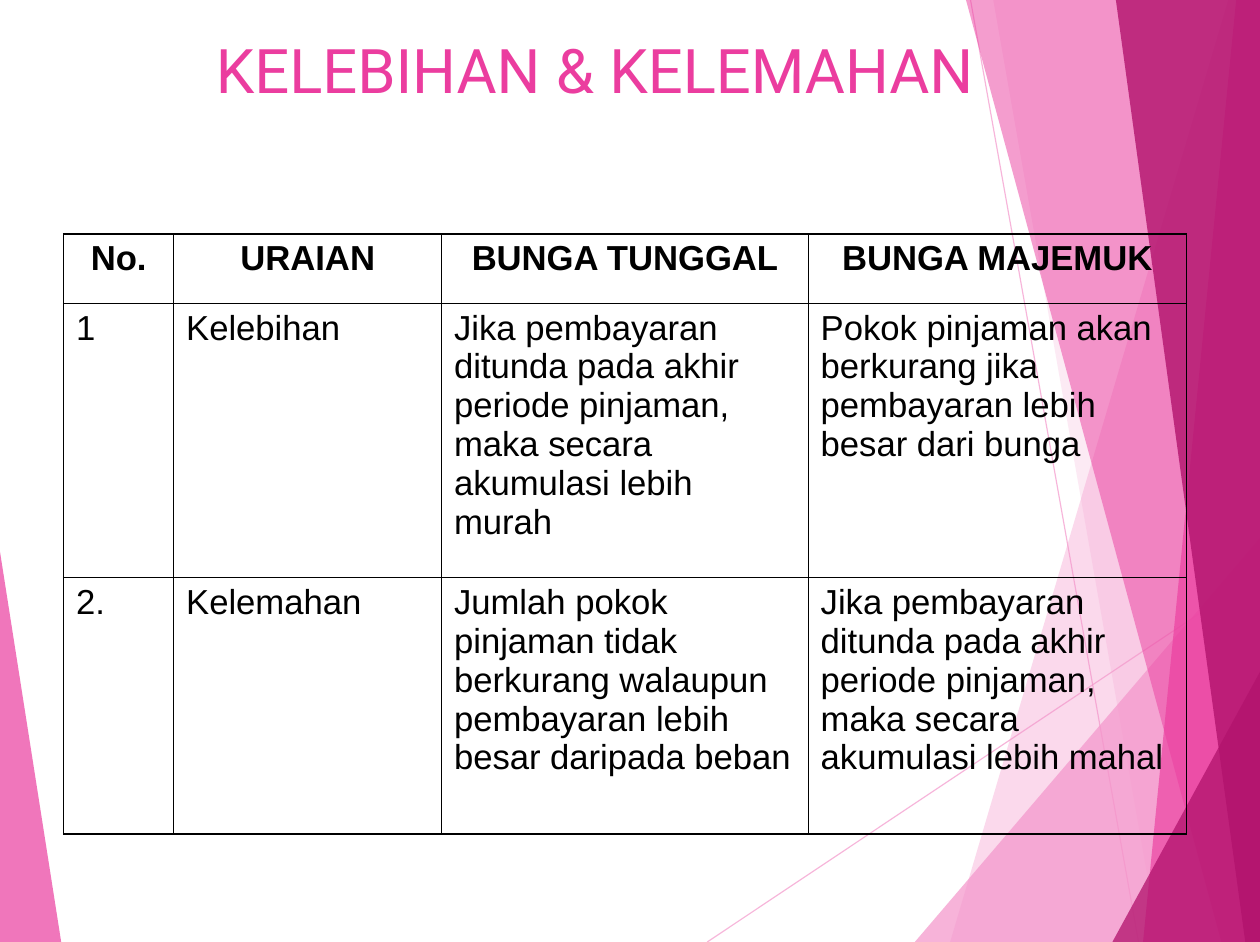
import dataclasses

import pptx
import pptx.dml.color
import pptx.enum.shapes
import pptx.enum.text
import pptx.oxml
import pptx.oxml.ns
import pptx.util

WIDTH = pptx.util.Inches(11.1)
HEIGHT = pptx.util.Inches(8.3)
COLORS = {"light": "F496CB", "pink": "EB3D9F", "dark": "B2136D", "black": "000000"}
THICK, THIN = 1.08, 0.45


@dataclasses.dataclass
class Ray:
    start: tuple[float, float]
    end: tuple[float, float]


@dataclasses.dataclass
class Facet:
    points: list[tuple[float, float]]
    color: str
    opacity: int


RAYS = [Ray((56.13, 100), (100, 60.84)), Ray((77.03, 0), (90.36, 100))]

FACETS = [
    Facet([(97.48, 0), (75.41, 100), (100, 100), (100, 0)], "light", 36),
    Facet([(78.83, 0), (91.98, 100), (100, 100), (100, 0)], "light", 20),
    Facet([(72.61, 100), (100, 57.11), (100, 100)], "light", 72),
    Facet([(76.67, 0), (96.94, 100), (100, 100), (100, 0)], "pink", 50),
    Facet([(98.11, 0), (90.72, 100), (100, 100), (100, 0)], "pink", 66),
    Facet([(88.56, 0), (98.83, 100), (100, 100), (100, 0)], "dark", 80),
    Facet([(88.29, 100), (100, 71.33), (100, 100)], "dark", 76),
    Facet([(0, 58.55), (4.86, 100), (0, 100)], "pink", 70),
]

COLUMNS = [8.74, 21.26, 29.1, 30]
ROWS = [7.35, 29.16, 27.23]
CELLS = [
    ["No.", "URAIAN", "BUNGA TUNGGAL", "BUNGA MAJEMUK"],
    [
        "1",
        "Kelebihan",
        "Jika pembayaran ditunda pada akhir periode pinjaman, maka secara akumulasi lebih murah",
        "Pokok pinjaman akan berkurang jika pembayaran lebih besar dari bunga",
    ],
    [
        "2.",
        "Kelemahan",
        "Jumlah pokok pinjaman tidak berkurang walaupun pembayaran lebih besar daripada beban",
        "Jika pembayaran ditunda pada akhir periode pinjaman, maka secara akumulasi lebih mahal",
    ],
]


def x(share: float) -> int:
    return round(WIDTH * share / 100)


def y(share: float) -> int:
    return round(HEIGHT * share / 100)


def rgb(name: str) -> pptx.dml.color.RGBColor:
    return pptx.dml.color.RGBColor.from_string(COLORS[name])


def set_opacity(sp_pr, percent: int) -> None:
    clr = next(sp_pr.iter(pptx.oxml.ns.qn("a:srgbClr")))
    ns = pptx.oxml.ns.nsdecls("a")
    clr.append(pptx.oxml.parse_xml(f'<a:alpha {ns} val="{percent * 1000}"/>'))


def write(tf, text: str, *, font: str, size: float, color: str, bold: bool = False,
          centered: bool = False, before: float = 0) -> None:
    tf.word_wrap = True
    p = tf.paragraphs[0]
    align = pptx.enum.text.PP_ALIGN
    p.alignment = align.CENTER if centered else align.LEFT
    p.space_before = pptx.util.Pt(before)
    r = p.add_run()
    r.text = text
    r.font.name = font
    r.font.size = pptx.util.Pt(size)
    r.font.bold = bold
    r.font.color.rgb = rgb(color)


def draw_ray(shapes, ray: Ray) -> None:
    (x1, y1), (x2, y2) = ray.start, ray.end
    line = shapes.add_connector(
        pptx.enum.shapes.MSO_CONNECTOR.STRAIGHT, x(x1), y(y1), x(x2), y(y2))
    line.line.color.rgb = rgb("light")
    line.line.width = pptx.util.Pt(0.75)
    sp_pr = line._element.spPr
    set_opacity(sp_pr, 70)
    sp_pr.append(pptx.oxml.parse_xml(f'<a:effectLst {pptx.oxml.ns.nsdecls("a")}/>'))


def draw_facet(shapes, facet: Facet) -> None:
    first, *rest = [(x(px), y(py)) for px, py in facet.points]
    builder = shapes.build_freeform(*first)
    builder.add_line_segments(rest, close=True)
    sp = builder.convert_to_shape()
    sp.shadow.inherit = False
    sp.fill.solid()
    sp.fill.fore_color.rgb = rgb(facet.color)
    sp.line.fill.background()
    set_opacity(sp._element.spPr, facet.opacity)


def set_borders(cell, widths: dict[str, float]) -> None:
    tc_pr = cell._tc.get_or_add_tcPr()
    ns = pptx.oxml.ns.nsdecls("a")
    for i, (side, width) in enumerate(widths.items()):
        tc_pr.insert(i, pptx.oxml.parse_xml(
            f'<a:ln{side} {ns} w="{pptx.util.Pt(width)}"><a:solidFill>'
            f'<a:srgbClr val="{COLORS["black"]}"/></a:solidFill></a:ln{side}>'))


def draw_table(shapes) -> None:
    frame = shapes.add_table(len(ROWS), len(COLUMNS), x(5.05), y(24.82),
                             x(sum(COLUMNS)), y(sum(ROWS)))
    table = frame.table
    table.first_row = table.horz_banding = False
    for column, share in zip(table.columns, COLUMNS):
        column.width = x(share)
    for row, share in zip(table.rows, ROWS):
        row.height = y(share)
    last_row, last_col = len(ROWS) - 1, len(COLUMNS) - 1
    for i, texts in enumerate(CELLS):
        for j, text in enumerate(texts):
            cell = table.cell(i, j)
            cell.fill.background()
            cell.margin_left = cell.margin_right = pptx.util.Inches(0.11)
            cell.margin_top = cell.margin_bottom = pptx.util.Inches(0.05)
            write(cell.text_frame, text, font="Arial", size=22, color="black",
                  bold=i == 0, centered=i == 0, before=5.5)
            set_borders(cell, {
                "L": THICK if j == 0 else THIN,
                "R": THICK if j == last_col else THIN,
                "T": THICK if i == 0 else THIN,
                "B": THICK if i == last_row else THIN,
            })


def main() -> None:
    prs = pptx.Presentation()
    prs.slide_width, prs.slide_height = WIDTH, HEIGHT
    shapes = prs.slides.add_slide(prs.slide_layouts[6]).shapes
    for ray in RAYS:
        draw_ray(shapes, ray)
    for facet in FACETS:
        draw_facet(shapes, facet)
    title = shapes.add_textbox(x(2.7), y(2.77), x(89.01), y(16.63))
    write(title.text_frame, "KELEBIHAN & KELEMAHAN", font="Roboto", size=39,
          color="pink", centered=True)
    draw_table(shapes)
    prs.save("out.pptx")


if __name__ == "__main__":
    main()
